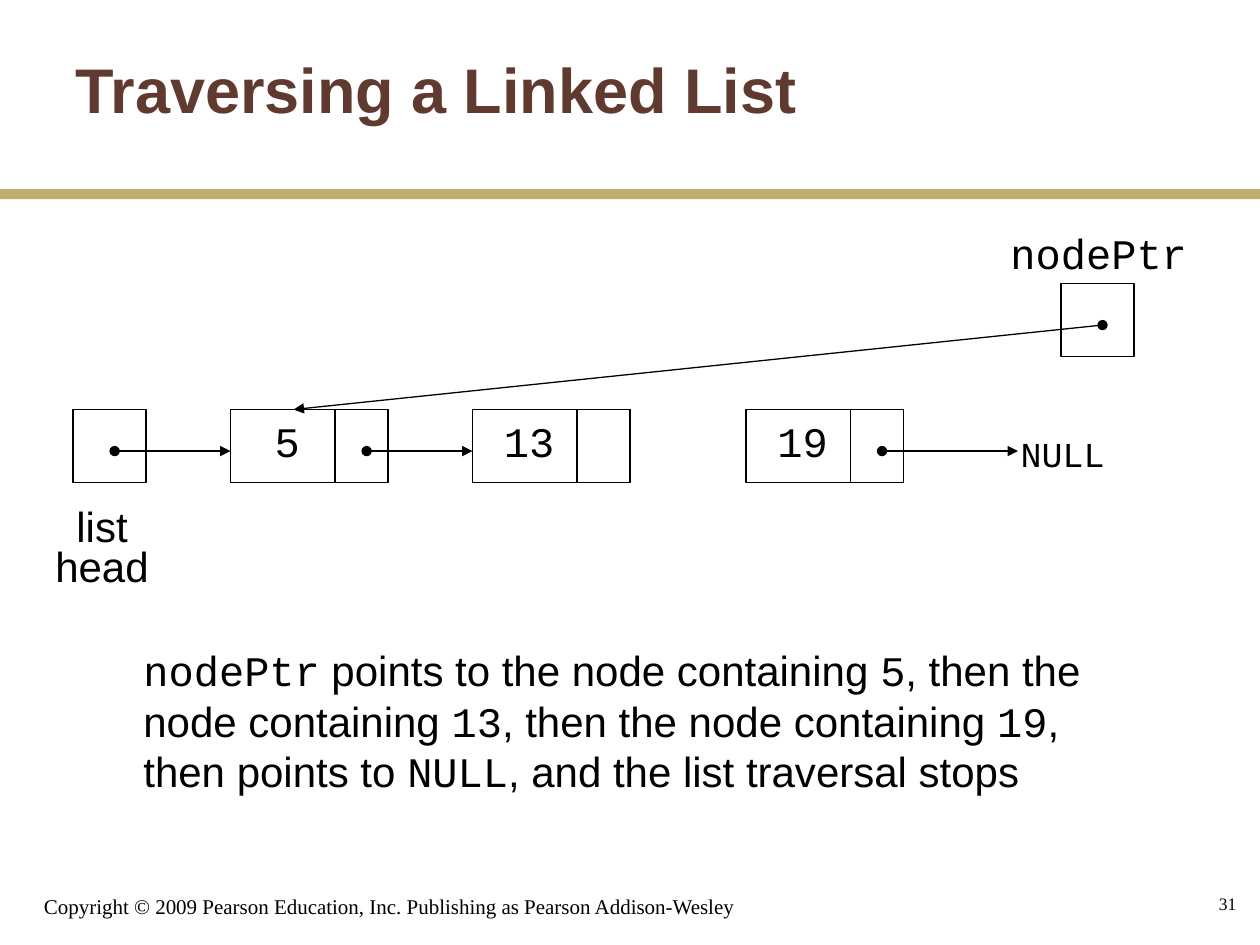
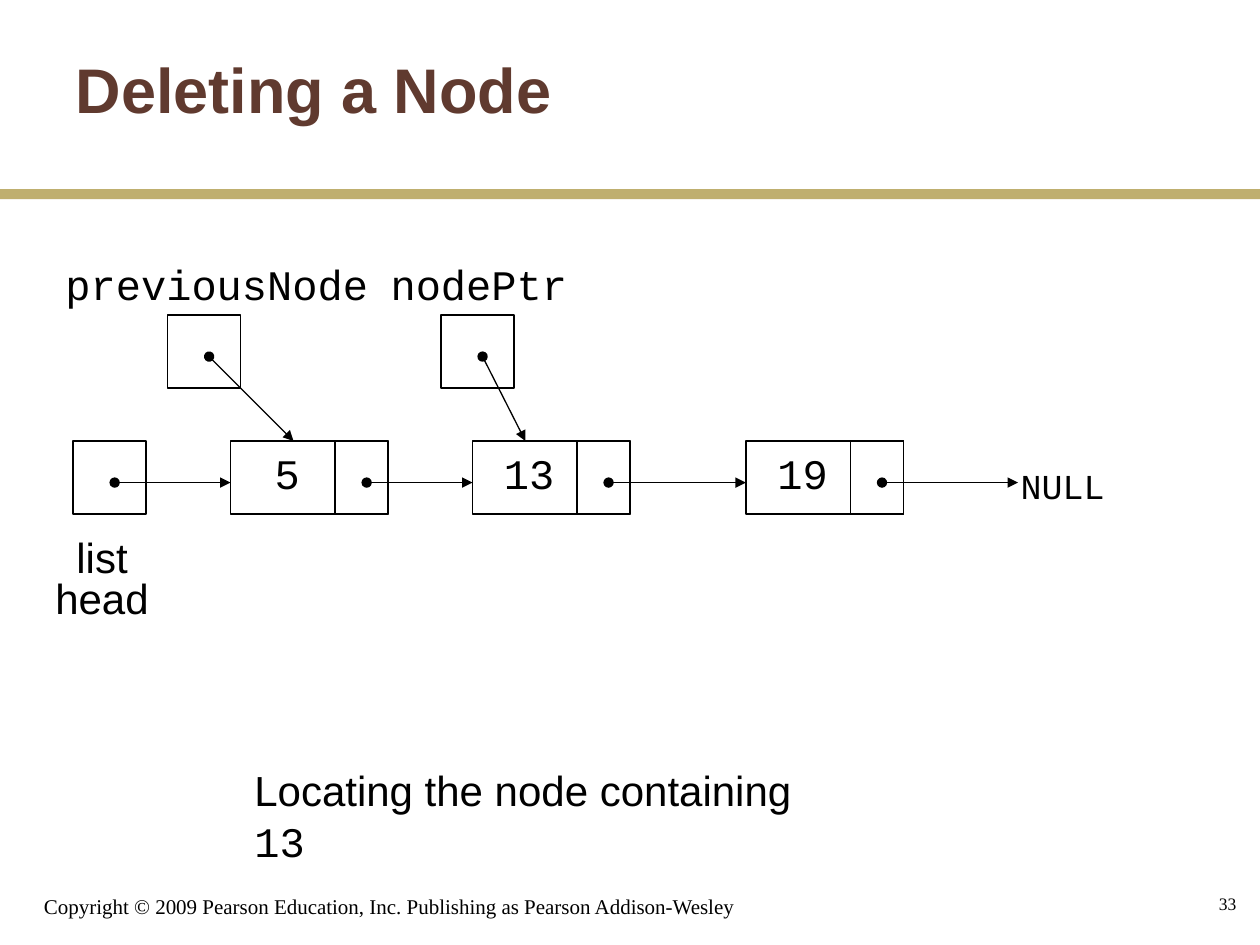
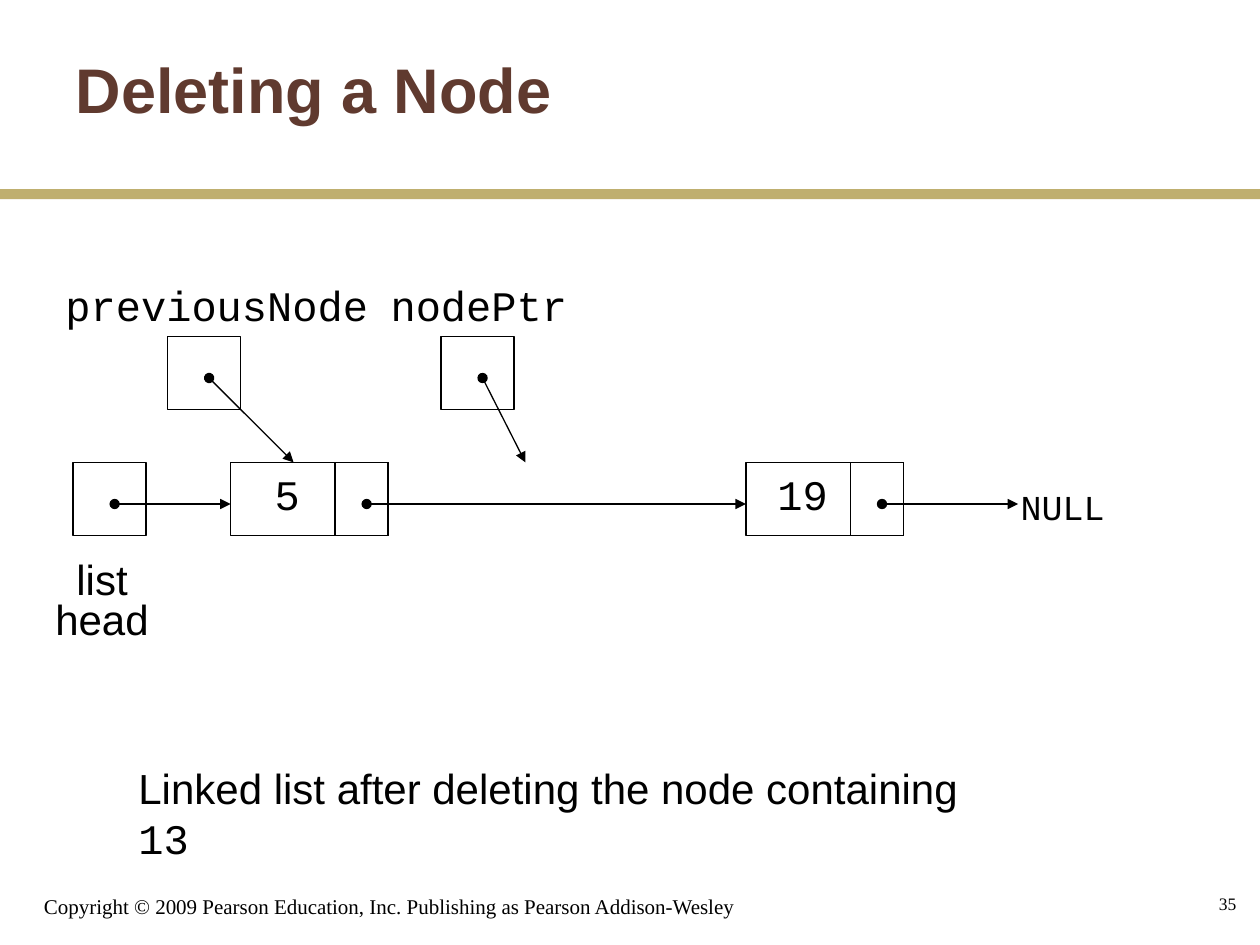
from dataclasses import dataclass

from lxml.etree import SubElement
from pptx import Presentation
from pptx.dml.color import RGBColor
from pptx.enum.shapes import MSO_CONNECTOR, MSO_SHAPE
from pptx.enum.text import MSO_ANCHOR, MSO_AUTO_SIZE, PP_ALIGN
from pptx.oxml.ns import qn
from pptx.util import Inches, Pt


@dataclass(frozen=True)
class Theme:
    ink: RGBColor = RGBColor(0x00, 0x00, 0x00)
    heading: RGBColor = RGBColor(0x60, 0x3A, 0x2F)
    band: RGBColor = RGBColor(0xBF, 0xAF, 0x6F)
    sans: str = "Arial"
    code: str = "Courier New"
    serif: str = "Times New Roman"
    title_size: int = 36
    text_size: int = 24
    null_size: int = 20
    copyright_size: int = 12
    number_size: int = 10
    line_width: float = 0.75


THEME = Theme()
COPYRIGHT = "Copyright © 2009 Pearson Education, Inc. Publishing as Pearson Addison-Wesley"

CELL = 0.58
NODE_WIDTH = 1.25
LINK_WIDTH = 0.42
LINK_DOT = 0.25
DOT = 0.33
HEAD_LEFT = 0.58
NULL_LEFT = 8.08
NODE_LEFT = {"5": 1.83, "13": 3.75, "19": 5.92}


def write_text(frame, text, font=THEME.sans, size=THEME.text_size, color=THEME.ink,
               bold=False, align=PP_ALIGN.LEFT, anchor=MSO_ANCHOR.TOP,
               spacing=None, wrap=False):
    frame.word_wrap = wrap
    frame.auto_size = MSO_AUTO_SIZE.NONE if wrap else MSO_AUTO_SIZE.SHAPE_TO_FIT_TEXT
    frame.vertical_anchor = anchor
    for index, line in enumerate(text.split("\n")):
        paragraph = frame.paragraphs[0] if index == 0 else frame.add_paragraph()
        paragraph.alignment = align
        paragraph.line_spacing = spacing
        for part, words in enumerate(line.split("`")):
            if not words:
                continue
            run = paragraph.add_run()
            run.text = words
            run.font.name = THEME.code if part % 2 else font
            run.font.size = Pt(size)
            run.font.bold = bold
            run.font.color.rgb = color


def add_label(slide, text, left, top, width, height, **text_format):
    label = slide.shapes.add_textbox(Inches(left), Inches(top), Inches(width), Inches(height))
    write_text(label.text_frame, text, **text_format)


def code_width(word):
    return 0.2 + 0.2 * len(word)


def add_cell(slide, left, top, width=CELL):
    cell = slide.shapes.add_shape(MSO_SHAPE.RECTANGLE, Inches(left), Inches(top),
                                  Inches(width), Inches(CELL))
    cell.shadow.inherit = False
    cell.fill.background()
    cell.line.color.rgb = THEME.ink
    cell.line.width = Pt(THEME.line_width)


def add_arrow(slide, start, end):
    arrow = slide.shapes.add_connector(MSO_CONNECTOR.STRAIGHT,
                                       *(Inches(length) for length in (*start, *end)))
    arrow.line.color.rgb = THEME.ink
    arrow.line.width = Pt(THEME.line_width)
    outline = arrow.line._get_or_add_ln()
    SubElement(outline, qn("a:headEnd"), type="oval")
    SubElement(outline, qn("a:tailEnd"), type="triangle")
    SubElement(arrow._element.spPr, qn("a:effectLst"))


def add_node(slide, value, top):
    left = NODE_LEFT[value]
    add_cell(slide, left, top, NODE_WIDTH)
    add_cell(slide, left + NODE_WIDTH - LINK_WIDTH, top, LINK_WIDTH)
    width = code_width(value)
    add_label(slide, value, left + 0.45 - width / 2, top, width, 0.5,
              font=THEME.code, align=PP_ALIGN.CENTER)


def add_linked_list(slide, top, values, links):
    add_cell(slide, HEAD_LEFT, top)
    add_label(slide, "list\nhead", 0.34, top + 0.75, 0.94, 0.74,
              align=PP_ALIGN.CENTER, spacing=0.8)
    for value in values:
        add_node(slide, value, top)
    for source, target in links:
        if source == "head":
            start = HEAD_LEFT + DOT
        else:
            start = NODE_LEFT[source] + NODE_WIDTH - LINK_WIDTH + LINK_DOT
        end = NODE_LEFT.get(target, NULL_LEFT)
        add_arrow(slide, (start, top + DOT), (end, top + DOT))
    add_label(slide, "NULL", 8, top + 0.07, 0.87, 0.5, font=THEME.code,
              size=THEME.null_size, align=PP_ALIGN.CENTER, spacing=1.2)


def add_pointer(slide, name, left, label_left, list_top, target):
    top = list_top - 1
    add_cell(slide, left, top)
    add_arrow(slide, (left + DOT, top + DOT), (target, list_top))
    add_label(slide, name, label_left, top - 0.42, code_width(name), 0.42,
              font=THEME.code, align=PP_ALIGN.CENTER, spacing=0.8)


def add_deletion_pointers(slide, list_top):
    add_pointer(slide, "nodePtr", 3.5, 3, list_top, 4.17)
    add_pointer(slide, "previousNode", 1.33, 0.42, list_top, 2.33)


def add_slide(presentation, title, number):
    slide = presentation.slides.add_slide(presentation.slide_layouts[5])
    band = slide.shapes.add_shape(MSO_SHAPE.RECTANGLE, 0, Inches(1.5), Inches(10), Inches(0.08))
    band.shadow.inherit = False
    band.fill.solid()
    band.fill.fore_color.rgb = THEME.band
    band.line.fill.background()
    heading = slide.shapes.title
    heading.left, heading.top = Inches(0.5), Inches(0.08)
    heading.width, heading.height = Inches(8.33), Inches(1.25)
    write_text(heading.text_frame, title, size=THEME.title_size, color=THEME.heading,
               bold=True, anchor=MSO_ANCHOR.MIDDLE, wrap=True)
    add_label(slide, COPYRIGHT, 0.25, 6.92, 6.08, 0.42, font=THEME.serif,
              size=THEME.copyright_size, anchor=MSO_ANCHOR.BOTTOM, wrap=True)
    add_label(slide, str(number), 7.83, 6.92, 2.08, 0.5, font=THEME.serif,
              size=THEME.number_size, align=PP_ALIGN.RIGHT,
              anchor=MSO_ANCHOR.MIDDLE, wrap=True)
    return slide


def main():
    presentation = Presentation()
    presentation.slide_width, presentation.slide_height = Inches(10), Inches(7.5)

    traversing = add_slide(presentation, "Traversing a Linked List", 31)
    add_linked_list(traversing, 3.25, ["5", "13", "19"],
                    [("head", "5"), ("5", "13"), ("19", "NULL")])
    add_pointer(traversing, "nodePtr", 8.42, 7.92, 3.25, 2.33)
    add_label(traversing,
              "`nodePtr` points to the node containing `5`, then the\n"
              "node containing `13`, then the node containing `19`,\n"
              "then points to `NULL`, and the list traversal stops",
              1.04, 5.07, 7.64, 1.3)

    locating = add_slide(presentation, "Deleting a Node", 33)
    add_linked_list(locating, 3.5, ["5", "13", "19"],
                    [("head", "5"), ("5", "13"), ("13", "19"), ("19", "NULL")])
    add_deletion_pointers(locating, 3.5)
    add_label(locating, "Locating the node containing `13`", 1.92, 6.02, 4.95, 0.5)

    deleted = add_slide(presentation, "Deleting a Node", 35)
    add_linked_list(deleted, 3.67, ["5", "19"],
                    [("head", "5"), ("5", "19"), ("19", "NULL")])
    add_deletion_pointers(deleted, 3.67)
    add_label(deleted, "Linked list after deleting the node containing `13`",
              1, 6, 7.19, 0.5)

    presentation.save("out.pptx")


if __name__ == "__main__":
    main()
